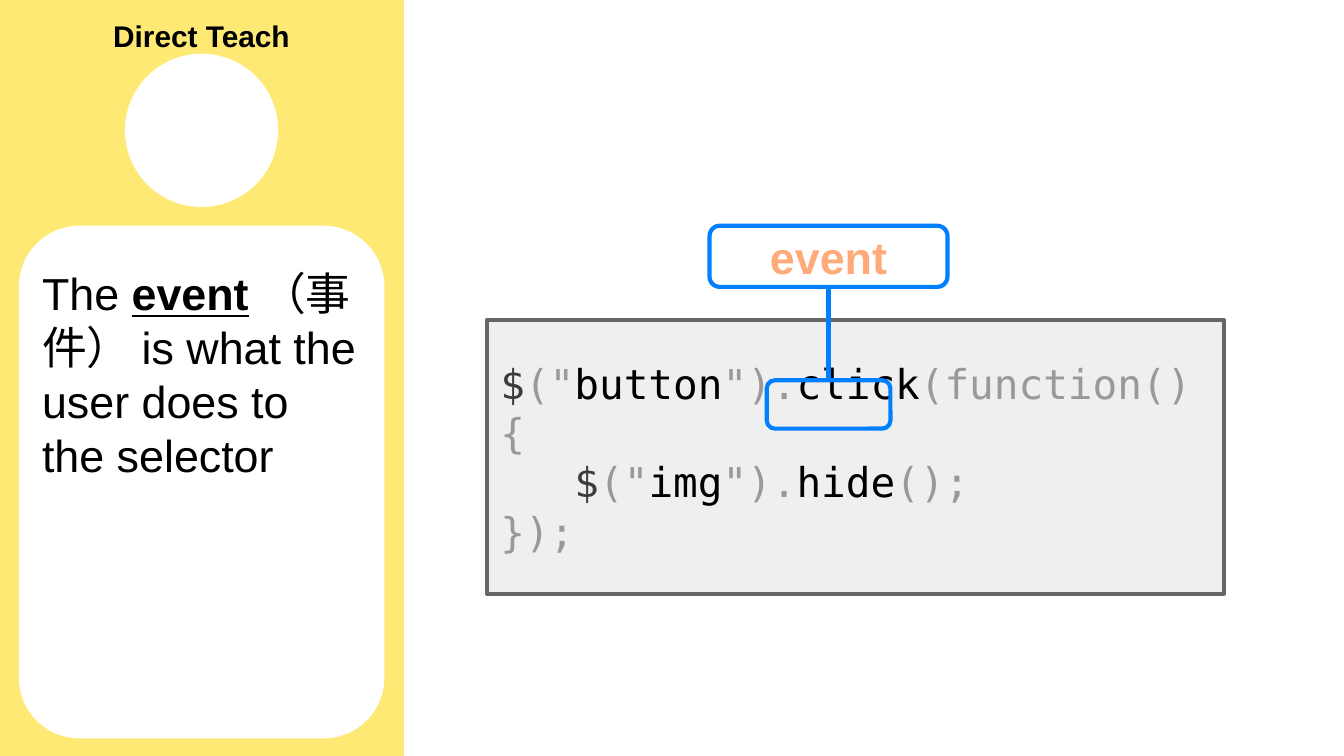
"""Build the slide that explains the event part of a click handler."""
from dataclasses import dataclass
from typing import Optional

from lxml.etree import SubElement
from pptx import Presentation
from pptx.dml.color import RGBColor
from pptx.enum.shapes import MSO_CONNECTOR, MSO_SHAPE
from pptx.enum.text import MSO_ANCHOR, PP_ALIGN
from pptx.oxml.ns import qn
from pptx.util import Inches, Pt


@dataclass(frozen=True)
class Theme:
    """Colours, fonts and type sizes of the slide."""
    panel: str = "FEE975"
    white: str = "FFFFFF"
    black: str = "000000"
    code_fill: str = "EFEFEF"
    code_line: str = "666666"
    dollar: str = "3F3B39"
    muted: str = "999999"
    marker: str = "0080FF"
    accent: str = "FFAA7B"
    sans: str = "Arial"
    mono: str = "DejaVu Sans Mono"
    heading: float = 16
    body: float = 24
    code: float = 22
    thin: float = 0.75
    thick: float = 2.25
    leading: float = 1.2


@dataclass(frozen=True)
class Box:
    """A place on the grid: first column, first row, columns and rows."""
    col: float
    row: float
    cols: float
    rows: float

    @property
    def middle(self) -> float:
        """Return the column at the centre of the box."""
        return self.col + self.cols / 2

    @property
    def bottom(self) -> float:
        """Return the row at the lower edge of the box."""
        return self.row + self.rows


@dataclass(frozen=True)
class Run:
    """A piece of text in one format."""
    text: str
    color: str
    bold: bool = False
    underline: bool = False


@dataclass(frozen=True)
class Panel:
    """A preset shape with its place and colours."""
    kind: MSO_SHAPE
    box: Box
    fill: Optional[str] = None
    line: Optional[str] = None
    width: float = 0


T = Theme()
COLUMNS, ROWS = 100, 56.25
CELL = Inches(0.1)
CODE = Box(36.25, 23.8, 54.8, 20.4)
TARGET = Box(57.05, 28.3, 9.2, 3.6)
LABEL = Box(52.8, 16.8, 17.7, 4.55)

SIDEBAR = [
    Panel(MSO_SHAPE.RECTANGLE, Box(0, 0, 30, ROWS), T.panel, T.panel, T.thin),
    Panel(MSO_SHAPE.OVAL, Box(9.3, 4, 11.4, 11.4), T.white),
    Panel(MSO_SHAPE.ROUNDED_RECTANGLE, Box(1.4, 16.8, 27.2, 38.15), T.white),
]
DEFINITION = [[
    Run("The ", T.black),
    Run("event", T.black, bold=True, underline=True),
    Run(" （事件） is what the user does to the selector", T.black),
]]
LISTING = [
    [Run("$", T.dollar), Run('("', T.muted), Run("button", T.black),
     Run('").', T.muted), Run("click", T.black), Run("(function() {", T.muted)],
    [Run("   $", T.dollar), Run('("', T.muted), Run("img", T.black),
     Run('").', T.muted), Run("hide", T.black), Run("();", T.muted)],
    [Run("});", T.muted)],
]


def place(box: Box) -> list[int]:
    """Turn a grid box into left, top, width and height."""
    return [round(v * CELL) for v in (box.col, box.row, box.cols, box.rows)]


def apply(target: object, formats: dict) -> None:
    """Set every attribute named in a dict of formats."""
    for name, value in formats.items():
        setattr(target, name, value)


def add_panel(s, panel: Panel):
    """Draw a preset shape and return it."""
    sp = s.shapes.add_shape(panel.kind, *place(panel.box))
    sp.shadow.inherit = False
    for fmt, color in ((sp.fill, panel.fill), (sp.line.fill, panel.line)):
        if color:
            fmt.solid()
            fmt.fore_color.rgb = RGBColor.from_string(color)
        else:
            fmt.background()
    if panel.line:
        sp.line.width = Pt(panel.width)
    return sp


def add_text_box(s, box: Box):
    """Add an empty text box and return it."""
    return s.shapes.add_textbox(*place(box))


def write(sp, paragraphs: list[list[Run]], size: float, font: str = T.sans,
          align: PP_ALIGN = PP_ALIGN.LEFT,
          anchor: MSO_ANCHOR = MSO_ANCHOR.MIDDLE,
          leading: Optional[float] = None) -> None:
    """Fill a shape with formatted paragraphs."""
    tf = sp.text_frame
    margins = dict.fromkeys(
        ("margin_left", "margin_top", "margin_right", "margin_bottom"), CELL)
    apply(tf, {"word_wrap": True, "vertical_anchor": anchor, **margins})
    for i, runs in enumerate(paragraphs):
        p = tf.add_paragraph() if i else tf.paragraphs[0]
        apply(p, {"alignment": align,
                  "line_spacing": Pt(size * leading) if leading else None})
        for run in runs:
            r = p.add_run()
            r.text = run.text
            apply(r.font, {"name": font, "size": Pt(size), "bold": run.bold,
                           "underline": run.underline})
            r.font.color.rgb = RGBColor.from_string(run.color)


def add_link(s, upper: Box, lower: Box) -> None:
    """Join the bottom of one box to the top of another."""
    x = upper.middle
    ends = [round(v * CELL) for v in (x, upper.bottom, x, lower.row)]
    c = s.shapes.add_connector(MSO_CONNECTOR.STRAIGHT, *ends)
    c.line.color.rgb = RGBColor.from_string(T.marker)
    c.line.width = Pt(T.thick)
    SubElement(c.element.spPr, qn("a:effectLst"))


def main() -> None:
    """Build and save the slide."""
    prs = Presentation()
    apply(prs, {"slide_width": COLUMNS * CELL,
                "slide_height": round(ROWS * CELL)})
    s = prs.slides.add_slide(prs.slide_layouts[6])

    for panel in SIDEBAR:
        add_panel(s, panel)
    write(add_text_box(s, Box(0, 1.4, 30, 2.5)),
          [[Run("Direct Teach", T.black, bold=True)]],
          T.heading, align=PP_ALIGN.CENTER)
    write(add_text_box(s, Box(2.15, 18.8, 25.6, 34)), DEFINITION, T.body,
          anchor=MSO_ANCHOR.TOP, leading=T.leading)

    code = add_panel(s, Panel(MSO_SHAPE.RECTANGLE, CODE, T.code_fill,
                              T.code_line, T.thick))
    write(code, LISTING, T.code, T.mono, leading=T.leading)

    _, label = [add_panel(s, Panel(MSO_SHAPE.ROUNDED_RECTANGLE, box,
                                   line=T.marker, width=T.thick))
                for box in (TARGET, LABEL)]
    write(label, [[Run("event", T.accent, bold=True)]], T.body,
          align=PP_ALIGN.CENTER)
    add_link(s, LABEL, TARGET)
    prs.save("out.pptx")


if __name__ == "__main__":
    main()
